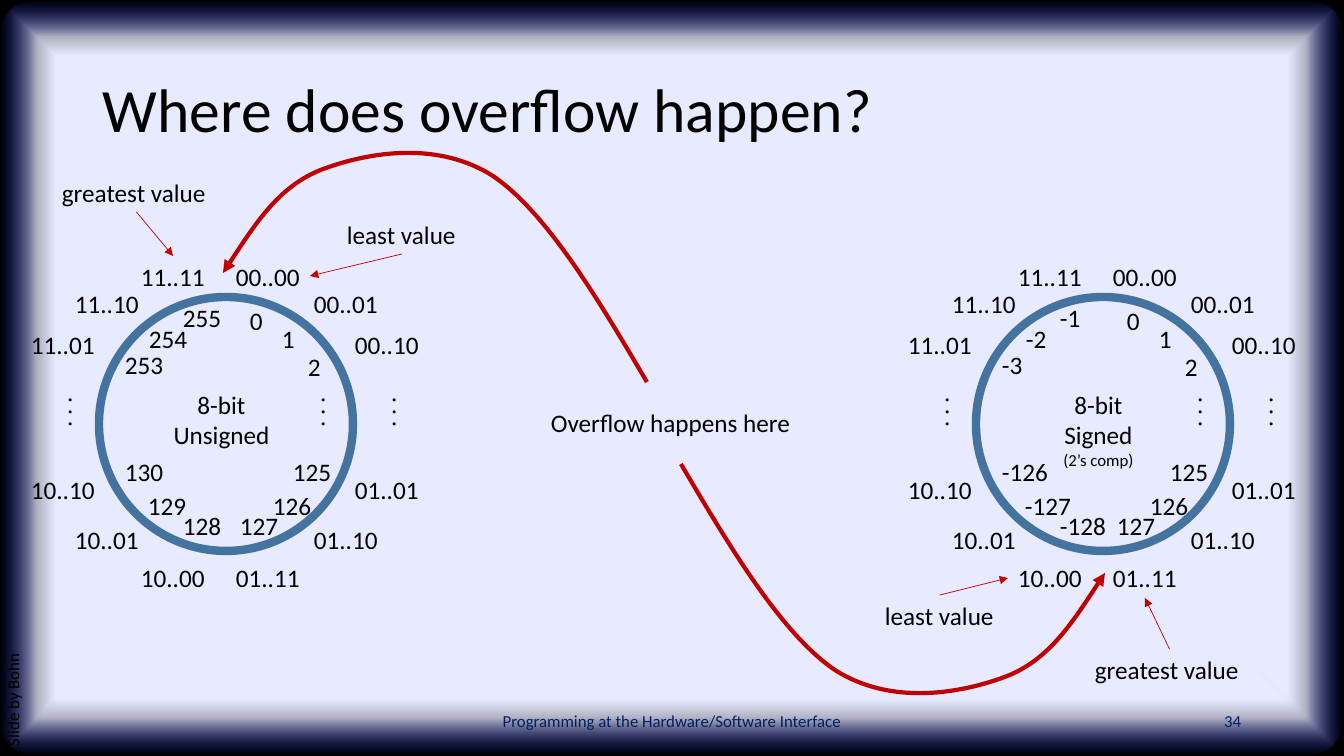
from lxml import etree
from pptx import Presentation
from pptx import util as u
from pptx.dml.color import RGBColor
from pptx.enum import shapes, text
from pptx.oxml import parse_xml
from pptx.oxml.ns import nsdecls, qn

PX = 914400 / 100.8
WIDTH, HEIGHT = 1344, 756
FONT = "Calibri"
BLACK = RGBColor(0x00, 0x00, 0x00)
NAVY = RGBColor(0x00, 0x20, 0x60)
BLUE = RGBColor(0x43, 0x73, 0x9E)
RED = RGBColor(0xC0, 0x00, 0x00)
PALE, GLOW = "E8EAFF", "162AFF"
GLOW_STOPS = [(85, PALE, 100), (90, PALE, 75), (100, GLOW, 0)]  # position, colour, opacity

# Clockwise from the top: bit pattern and its place on the left dial
CODES = [
    ("00..00", 226, 256), ("00..01", 304, 283), ("00..10", 345, 324),
    ("01..01", 345, 469), ("01..10", 304, 519), ("01..11", 226, 557),
    ("10..00", 131, 557), ("10..01", 65, 519), ("10..10", 21, 469),
    ("11..01", 21, 324), ("11..10", 65, 283), ("11..11", 131, 256),
]
VALUE_PLACES = [
    (240, 300), (272, 318), (298, 346), (283, 451), (263, 485), (230, 505),
    (173, 505), (138, 485), (115, 451), (115, 344), (139, 318), (173, 297),
]
POSITIVE = ["0", "1", "2", "125", "126", "127"]
DOTS_LEFTS = [360, 36, 289]
LABEL_WIDTHS = {1: 33, 2: 41, 3: 59, 4: 67, 6: 85}  # by number of characters
LABEL_HEIGHT = 40
RING = (99, 297, 254, 254)
DIAL_STEP = 877
DIALS = [
    ([("8-bit", 18), ("Unsigned", 18)],
     POSITIVE + ["128", "129", "130", "253", "254", "255"]),
    ([("8-bit", 18), ("Signed", 18), ("(2’s comp)", 12)],
     POSITIVE + ["-128", "-127", "-126", "-3", "-2", "-1"]),
]

# Start, then two controls and an end for each piece
CURVE = [(223, 273), (252, 229), (280, 184), (326, 168), (371, 152), (438, 141),
         (493, 176), (546, 212), (597, 297), (647, 382)]
HALF_TURN = (1328, 846)  # sum of a point and its counterpart on the second curve

# Label, left, top, width, side the arrow leaves from, arrow tip
NOTES = [
    ("greatest value", 52, 172, 169, 2, (173, 256)),
    ("least value", 337, 214, 130, 2, (310, 276)),
    ("greatest value", 1085, 649, 169, 0, (1145, 598)),
    ("least value", 875, 595, 130, 0, (1008, 578)),
]


def px(*lengths):
    return [u.Emu(round(length * PX)) for length in lengths]


def write(parent, lines, left, top, width, height=LABEL_HEIGHT, *, size=18, color=BLACK,
          align=text.PP_ALIGN.LEFT, anchor=text.MSO_ANCHOR.TOP, wrap=False, rotation=0,
          spacing=1.0):
    """Add a text box; lines is a string or a list of (string, size)."""
    box = parent.add_textbox(*px(left, top, width, height))
    box.rotation = rotation
    frame = box.text_frame
    frame.word_wrap = wrap
    frame.vertical_anchor = anchor
    if isinstance(lines, str):
        lines = [(lines, size)]
    for index, (words, points) in enumerate(lines):
        para = frame.add_paragraph() if index else frame.paragraphs[0]
        para.alignment = align
        para.line_spacing = spacing
        span = para.add_run()
        span.text = words
        span.font.name = FONT
        span.font.size = u.Pt(points)
        span.font.color.rgb = color
    return box


def add_arrowhead(line, end):
    """Put a triangle at the headEnd or tailEnd of a line."""
    etree.SubElement(line._get_or_add_ln(), qn("a:" + end), type="triangle")


def draw_background(page):
    parts = []
    for kind in (shapes.MSO_SHAPE.RECTANGLE, shapes.MSO_SHAPE.ROUNDED_RECTANGLE):
        part = page.shapes.add_shape(kind, *px(0, 0, WIDTH, HEIGHT))
        part.shadow.inherit = False
        part.line.fill.background()
        parts.append(part)
    backdrop, panel = parts
    backdrop.fill.solid()
    backdrop.fill.fore_color.rgb = BLACK
    panel.adjustments[0] = 0.05
    stops = "".join(
        f'<a:gs pos="{place * 1000}"><a:srgbClr val="{color}">'
        f'<a:alpha val="{opacity * 1000}"/></a:srgbClr></a:gs>'
        for place, color, opacity in GLOW_STOPS)
    gradient = parse_xml(
        f'<a:gradFill {nsdecls("a")} rotWithShape="1"><a:gsLst>{stops}</a:gsLst>'
        '<a:path path="shape"><a:fillToRect l="50000" t="50000" r="50000" b="50000"/>'
        '</a:path></a:gradFill>')
    panel._element.spPr.find(qn("a:prstGeom")).addnext(gradient)


def draw_dial(page, shift, caption, values):
    group = page.shapes.add_group_shape().shapes
    write(group, caption, 133 + shift, 384, 177, 72 if len(caption) == 2 else 95,
          align=text.PP_ALIGN.CENTER, wrap=True)
    left, top, width, height = RING
    ring = group.add_shape(shapes.MSO_SHAPE.OVAL, *px(left + shift, top, width, height))
    ring.shadow.inherit = False
    ring.fill.background()
    ring.line.color.rgb = BLUE
    ring.line.width = u.Pt(6)
    numbers = [(value, *place) for value, place in zip(values, VALUE_PLACES)]
    for words, left, top in CODES + numbers:
        write(group, words, left + shift, top, LABEL_WIDTHS[len(words)])
    for left in DOTS_LEFTS:
        write(group, ". . .", left + shift, 392, 51, rotation=270)


def draw_curve(page, points):
    builder = page.shapes.build_freeform(*points[0], scale=PX)
    builder.add_line_segments(points[1:], close=False)
    curve = builder.convert_to_shape()
    curve.shadow.inherit = False
    curve.fill.background()
    curve.line.color.rgb = RED
    curve.line.width = u.Pt(3)
    add_arrowhead(curve.line, "headEnd")
    outline = next(curve._element.iter(qn("a:path")))
    segments = outline.findall(qn("a:lnTo"))
    for start in range(0, len(segments), 3):
        bezier = etree.SubElement(outline, qn("a:cubicBezTo"))
        for segment in segments[start:start + 3]:
            bezier.append(segment[0])
            outline.remove(segment)


def draw_note(page, words, left, top, width, side, tip):
    label = write(page.shapes, words, left, top, width)
    arrow = page.shapes.add_connector(shapes.MSO_CONNECTOR.STRAIGHT, *px(left, top, *tip))
    arrow.begin_connect(label, side)
    arrow.line.color.rgb = RED
    arrow.line.width = u.Pt(0.5)
    add_arrowhead(arrow.line, "tailEnd")
    etree.SubElement(arrow._element.spPr, qn("a:effectLst"))


def main():
    deck = Presentation()
    deck.slide_width, deck.slide_height = px(WIDTH, HEIGHT)
    page = deck.slides.add_slide(deck.slide_layouts[6])
    draw_background(page)
    middle = text.MSO_ANCHOR.MIDDLE
    write(page.shapes, "Where does overflow happen?", 93, 40, 1159, 146, size=44,
          anchor=middle, wrap=True, spacing=0.9)
    write(page.shapes, "Programming at the Hardware/Software Interface", 445, 701, 454,
          size=12, color=NAVY, align=text.PP_ALIGN.CENTER, anchor=middle, wrap=True)
    write(page.shapes, "34", 949, 701, 302, size=12, color=NAVY,
          align=text.PP_ALIGN.RIGHT, anchor=middle, wrap=True)
    write(page.shapes, "Slide by Bohn", -246, 470, 532, size=12, wrap=True,
          rotation=270, spacing=0.9)
    for index, (caption, values) in enumerate(DIALS):
        draw_dial(page, index * DIAL_STEP, caption, values)
    write(page.shapes, "Overflow happens here", 541, 402, 263)
    draw_curve(page, CURVE)
    draw_curve(page, [(HALF_TURN[0] - x, HALF_TURN[1] - y) for x, y in CURVE])
    for note in NOTES:
        draw_note(page, *note)
    deck.save("out.pptx")


if __name__ == "__main__":
    main()
